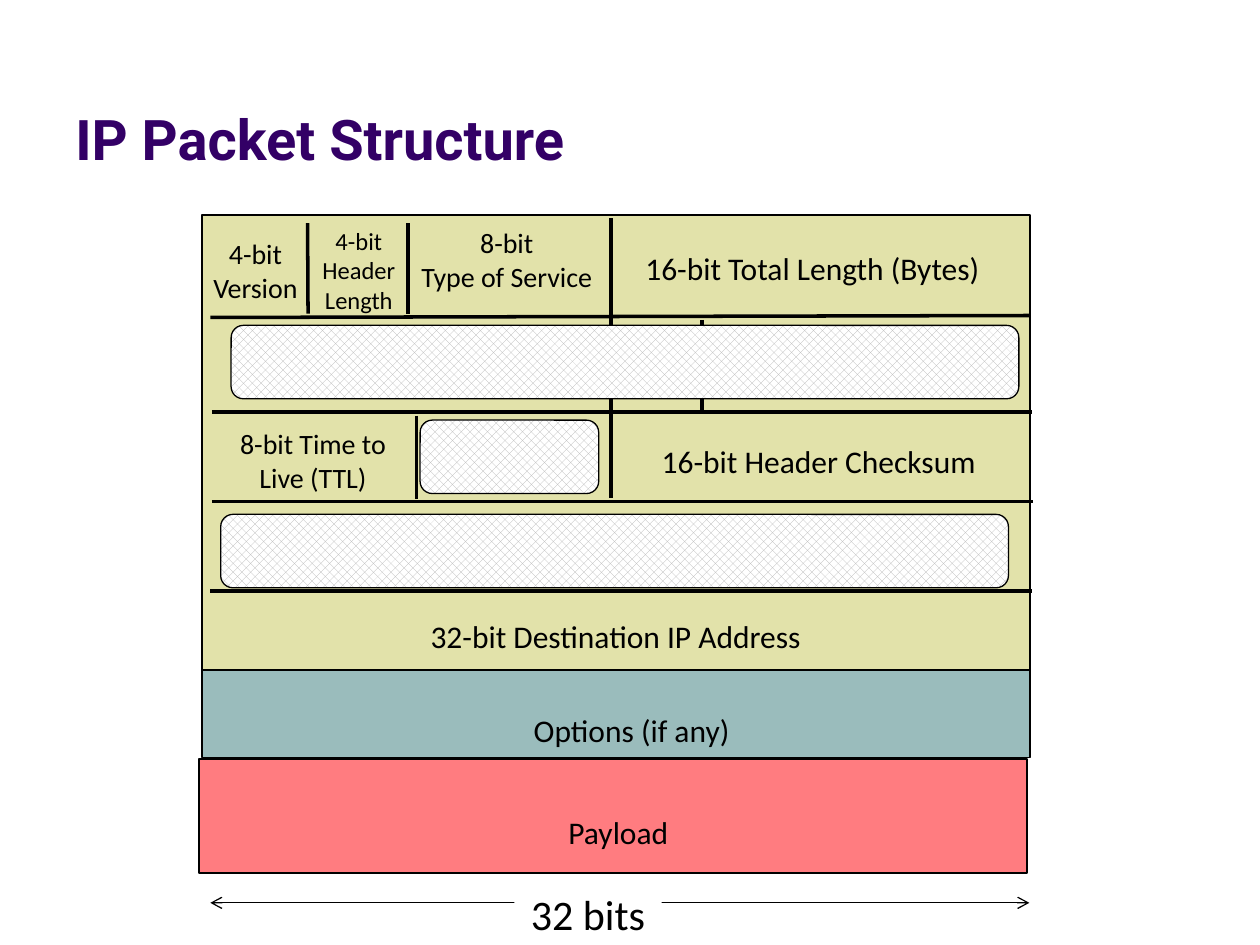
from dataclasses import dataclass

from lxml import etree
from pptx import Presentation
from pptx.dml.color import RGBColor
from pptx.enum import dml, shapes, text
from pptx.oxml import ns
from pptx.util import Cm, Pt

BLACK = RGBColor(0x00, 0x00, 0x00)
WHITE = RGBColor(0xFF, 0xFF, 0xFF)
PURPLE = RGBColor(0x33, 0x00, 0x66)
HEADER_GREEN = RGBColor(0xE2, 0xE2, 0xAA)
OPTIONS_TEAL = RGBColor(0x9A, 0xBC, 0xBC)
PAYLOAD_RED = RGBColor(0xFF, 0x7C, 0x80)
PATTERN_GREY = RGBColor(0xB3, 0xB3, 0xB3)


@dataclass(frozen=True)
class Area:
    """A rectangle measured in centimetres."""
    left: float
    top: float
    width: float
    height: float

    def lengths(self) -> tuple:
        return Cm(self.left), Cm(self.top), Cm(self.width), Cm(self.height)


@dataclass(frozen=True)
class Field:
    lines: tuple[str, ...]
    area: Area
    size: int = 18


@dataclass(frozen=True)
class Rule:
    """A straight line between two points in centimetres."""
    x1: float
    y1: float
    x2: float
    y2: float


SECTIONS = (
    (Area(4.08, 4.34, 16.68, 9.19), HEADER_GREEN),
    (Area(4.08, 13.51, 16.68, 1.76), OPTIONS_TEAL),
    (Area(4.02, 15.3, 16.68, 2.3), PAYLOAD_RED),
)
RULES = (
    Rule(4.24, 6.4, 20.76, 6.36),
    Rule(4.27, 8.31, 20.8, 8.31),
    Rule(4.27, 10.11, 20.82, 10.11),
    Rule(4.24, 11.91, 20.8, 11.91),
    Rule(12.32, 4.4, 12.32, 10.03),
    Rule(8.22, 4.5, 8.22, 6.32),
    Rule(6.2, 4.5, 6.21, 6.32),
    Rule(14.15, 6.45, 14.15, 8.28),
    Rule(8.4, 8.38, 8.4, 10.06),
)
FIELDS = (
    Field(("4-bit", "Version"), Area(4.02, 4.65, 2.26, 1.63), 16),
    Field(("4-bit", "Header", "Length"), Area(6.23, 4.43, 2.01, 2.06), 14),
    Field(("8-bit", "Type of Service"), Area(8.21, 4.43, 4.01, 2.31), 16),
    Field(("16-bit Total Length (Bytes)",), Area(12.76, 4.9, 7.39, 1.02)),
    Field(("8-bit Time to ", "Live (TTL)"), Area(4.57, 8.48, 3.48, 1.63), 16),
    Field(("16-bit Header Checksum",), Area(13.09, 8.79, 6.91, 1.02)),
    Field(("32-bit Destination IP Address",), Area(8.43, 12.32, 8.08, 1.02)),
    Field(("Options (if any)",), Area(10.51, 14.21, 4.5, 1.02)),
    Field(("Payload",), Area(11.21, 16.26, 2.57, 1.02)),
)
COVERS = (
    Area(4.66, 6.56, 15.88, 1.48),
    Area(4.45, 10.37, 15.88, 1.48),
    Area(8.47, 8.47, 3.6, 1.48),
)


def write_span(para, words: str, font: str, size: int, color: RGBColor, bold: bool = False) -> None:
    span = para.add_run()
    span.text = words
    span.font.name = font
    span.font.size = Pt(size)
    span.font.bold = bold
    span.font.color.rgb = color


def draw_title(page, words: str) -> None:
    box = page.shapes.add_textbox(*Area(1.27, 0.34, 22.86, 3.25).lengths())
    frame = box.text_frame
    frame.word_wrap = True
    frame.vertical_anchor = text.MSO_ANCHOR.BOTTOM
    write_span(frame.paragraphs[0], words, "Roboto", 32, PURPLE, bold=True)


def draw_block(page, area: Area, color: RGBColor):
    block = page.shapes.add_shape(shapes.MSO_SHAPE.RECTANGLE, *area.lengths())
    block.shadow.inherit = False
    block.fill.solid()
    block.fill.fore_color.rgb = color
    return block


def draw_section(page, area: Area, color: RGBColor) -> None:
    section = draw_block(page, area, color)
    section.line.color.rgb = BLACK
    section.line.width = Pt(1)


def draw_cover(page, area: Area) -> None:
    cover = page.shapes.add_shape(shapes.MSO_SHAPE.ROUNDED_RECTANGLE, *area.lengths())
    cover.shadow.inherit = False
    cover.fill.patterned()
    cover.fill.pattern = dml.MSO_PATTERN.PERCENT_50
    cover.fill.fore_color.rgb = PATTERN_GREY
    cover.fill.back_color.rgb = WHITE
    cover.line.color.rgb = BLACK
    cover.line.width = Pt(0.75)


def draw_rule(page, rule: Rule, width: float = 2, arrows: bool = False) -> None:
    line = page.shapes.add_connector(
        shapes.MSO_CONNECTOR.STRAIGHT, Cm(rule.x1), Cm(rule.y1), Cm(rule.x2), Cm(rule.y2))
    line.line.color.rgb = BLACK
    line.line.width = Pt(width)
    if arrows:
        outline = line._element.spPr.find(ns.qn("a:ln"))
        for end in ("a:headEnd", "a:tailEnd"):
            etree.SubElement(outline, ns.qn(end), type="arrow")
    etree.SubElement(line._element.spPr, ns.qn("a:effectLst"))


def draw_field(page, field: Field) -> None:
    frame = page.shapes.add_textbox(*field.area.lengths()).text_frame
    frame.word_wrap = False
    frame.auto_size = text.MSO_AUTO_SIZE.SHAPE_TO_FIT_TEXT
    for index, words in enumerate(field.lines):
        para = frame.add_paragraph() if index else frame.paragraphs[0]
        if len(field.lines) > 1:
            para.alignment = text.PP_ALIGN.CENTER
        write_span(para, words, "Calibri", field.size, BLACK)


def draw_width_label(page) -> None:
    draw_rule(page, Rule(4.24, 18.2, 20.75, 18.2), width=0.75, arrows=True)
    label = draw_block(page, Area(10.37, 17.78, 2.97, 1.27), WHITE)
    label.line.fill.background()
    frame = label.text_frame
    frame.word_wrap = False
    frame.vertical_anchor = text.MSO_ANCHOR.MIDDLE
    frame.paragraphs[0].alignment = text.PP_ALIGN.CENTER
    write_span(frame.paragraphs[0], "32 bits", "Calibri", 24, BLACK)


def main() -> None:
    deck = Presentation()
    deck.slide_width, deck.slide_height = Cm(25.4), Cm(19.05)
    page = deck.slides.add_slide(deck.slide_layouts[6])
    draw_title(page, "IP Packet Structure")
    for area, color in SECTIONS:
        draw_section(page, area, color)
    for rule in RULES:
        draw_rule(page, rule)
    for field in FIELDS:
        draw_field(page, field)
    for area in COVERS:
        draw_cover(page, area)
    draw_width_label(page)
    deck.save("out.pptx")


if __name__ == "__main__":
    main()
